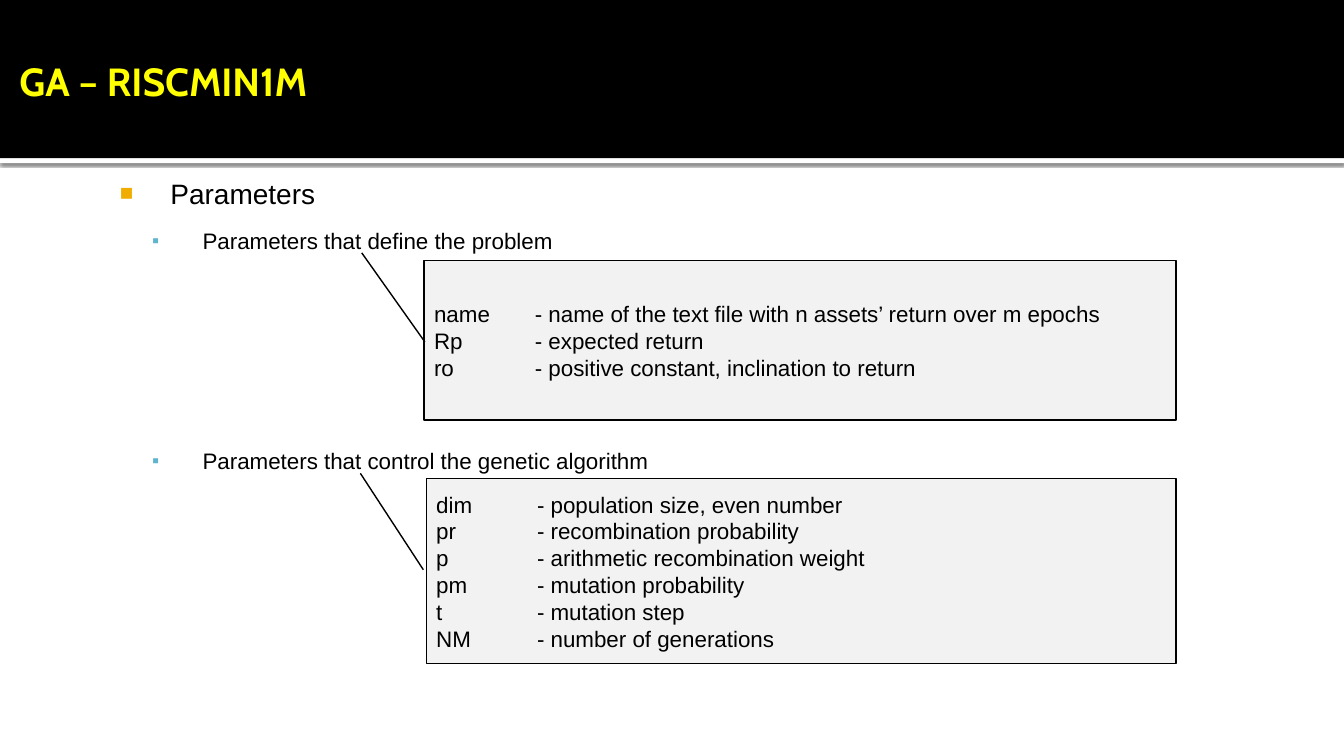
from dataclasses import dataclass

from lxml.etree import SubElement
from pptx import Presentation
from pptx.dml.color import RGBColor
from pptx.enum.shapes import MSO_SHAPE as Preset
from pptx.enum.text import MSO_ANCHOR as Anchor, PP_ALIGN as Align
from pptx.oxml.ns import qn
from pptx.util import Pt

TITLE = "GA – RISCMIN1M"
HEADING = "Parameters"
GROUPS = [
    {
        "topic": "Parameters that define the problem",
        "parameters": [
            ("name", "name of the text file with n assets’ return over m epochs"),
            ("Rp", "expected return"),
            ("ro", "positive constant, inclination to return"),
        ],
        "box": (303, 186, 537, 114),
        "pointer": (0.511, 0.001, -0.047, -0.083),
        "space_before": 6,
    },
    {
        "topic": "Parameters that control the genetic algorithm",
        "parameters": [
            ("dim", "population size, even number"),
            ("pr", "recombination probability"),
            ("p", "arithmetic recombination weight"),
            ("pm", "mutation probability"),
            ("t", "mutation step"),
            ("NM", "number of generations"),
        ],
        "box": (304.5, 342, 535.5, 132),
        "pointer": (0.492, -0.004, -0.03, -0.088),
        "space_before": 132,
    },
]


@dataclass(frozen=True)
class Theme:
    black: str = "000000"
    white: str = "FFFFFF"
    title: str = "FFFF00"
    panel: str = "F2F2F2"
    heading_bullet: str = "F0AD00"
    topic_bullet: str = "60B5CC"
    title_font: str = "Cabin"
    body_font: str = "Arial"
    title_size: int = 28
    heading_size: int = 20
    text_size: int = 16


THEME = Theme()
WIDTH, HEIGHT = 960, 540
BAND_HEIGHT = 113
TAB_STOP = 72


def style_runs(paragraph, size, color=THEME.black, face=THEME.body_font, bold=False):
    for run in paragraph.runs:
        run.font.size = Pt(size)
        run.font.name = face
        run.font.bold = bold
        run.font.color.rgb = RGBColor.from_string(color)


def add_panel(slide, preset, box, fill, outline=None):
    panel = slide.shapes.add_shape(preset, *map(Pt, box))
    panel.shadow.inherit = False
    panel.fill.solid()
    panel.fill.fore_color.rgb = RGBColor.from_string(fill)
    if outline:
        panel.line.color.rgb = RGBColor.from_string(outline)
        panel.line.width = Pt(1)
    else:
        panel.line.fill.background()
    return panel


def add_soft_shadow(panel):
    effects = panel._element.spPr.find(qn("a:effectLst"))
    shadow = SubElement(effects, qn("a:outerShdw"), blurRad=str(Pt(2.5)),
                        dist=str(Pt(0.8)), dir="5400000", rotWithShape="0")
    color = SubElement(shadow, qn("a:srgbClr"), val=THEME.black)
    SubElement(color, qn("a:alpha"), val="60000")


def add_text_frame(slide, box):
    frame = slide.shapes.add_textbox(*map(Pt, box)).text_frame
    frame.word_wrap = True
    frame.margin_left, frame.margin_top = Pt(4.5), Pt(7.2)
    frame.margin_right, frame.margin_bottom = Pt(7.2), Pt(3.6)
    return frame


def set_bullet(paragraph, mark, color, percent, indent):
    """Give the paragraph a coloured bullet hanging 36 points left of its text."""
    props = paragraph._p.get_or_add_pPr()
    props.set("marL", str(Pt(indent)))
    props.set("indent", str(Pt(-36)))
    SubElement(SubElement(props, qn("a:buClr")), qn("a:srgbClr"), val=color)
    SubElement(props, qn("a:buSzPct"), val=str(percent * 1000))
    SubElement(props, qn("a:buFont"), typeface=THEME.body_font)
    SubElement(props, qn("a:buChar"), char=mark)


def add_header(slide):
    rule = add_panel(slide, Preset.RECTANGLE, (0, BAND_HEIGHT, WIDTH, 3.6), THEME.white)
    add_soft_shadow(rule)
    add_panel(slide, Preset.RECTANGLE, (0, 0, WIDTH, BAND_HEIGHT), THEME.black)
    frame = add_text_frame(slide, (0, 0, 846, 111.6))
    frame.vertical_anchor = Anchor.MIDDLE
    frame.margin_left = Pt(13.9)
    frame.text = TITLE
    style_runs(frame.paragraphs[0], THEME.title_size, THEME.title, THEME.title_font, True)


def add_outline(slide):
    frame = add_text_frame(slide, (81.2, 118.8, 878.8, 391.7))
    frame.text = "\n".join([HEADING] + [group["topic"] for group in GROUPS])
    heading, *topics = frame.paragraphs
    for paragraph in frame.paragraphs:
        paragraph.space_before = paragraph.space_after = Pt(6)
    style_runs(heading, THEME.heading_size)
    set_bullet(heading, "■", THEME.heading_bullet, 80, 36)
    for topic, group in zip(topics, GROUPS):
        topic.level = 1
        topic.space_before = Pt(group["space_before"])
        style_runs(topic, THEME.text_size)
        set_bullet(topic, "▪", THEME.topic_bullet, 90, 59)


def add_callout(slide, group):
    callout = add_panel(slide, Preset.LINE_CALLOUT_1, group["box"], THEME.panel, THEME.black)
    for index, value in enumerate(group["pointer"]):
        callout.adjustments[index] = value
    frame = callout.text_frame
    frame.word_wrap = True
    frame.vertical_anchor = Anchor.MIDDLE
    frame.text = "\n".join(f"{name} \t- {meaning}" for name, meaning in group["parameters"])
    for paragraph in frame.paragraphs:
        paragraph.alignment = Align.LEFT
        style_runs(paragraph, THEME.text_size)
        tabs = SubElement(paragraph._p.get_or_add_pPr(), qn("a:tabLst"))
        SubElement(tabs, qn("a:tab"), pos=str(Pt(TAB_STOP)), algn="l")


def main():
    deck = Presentation()
    deck.slide_width, deck.slide_height = Pt(WIDTH), Pt(HEIGHT)
    slide = deck.slides.add_slide(deck.slide_layouts[6])
    add_header(slide)
    add_outline(slide)
    for group in GROUPS:
        add_callout(slide, group)
    deck.save("out.pptx")


if __name__ == "__main__":
    main()
